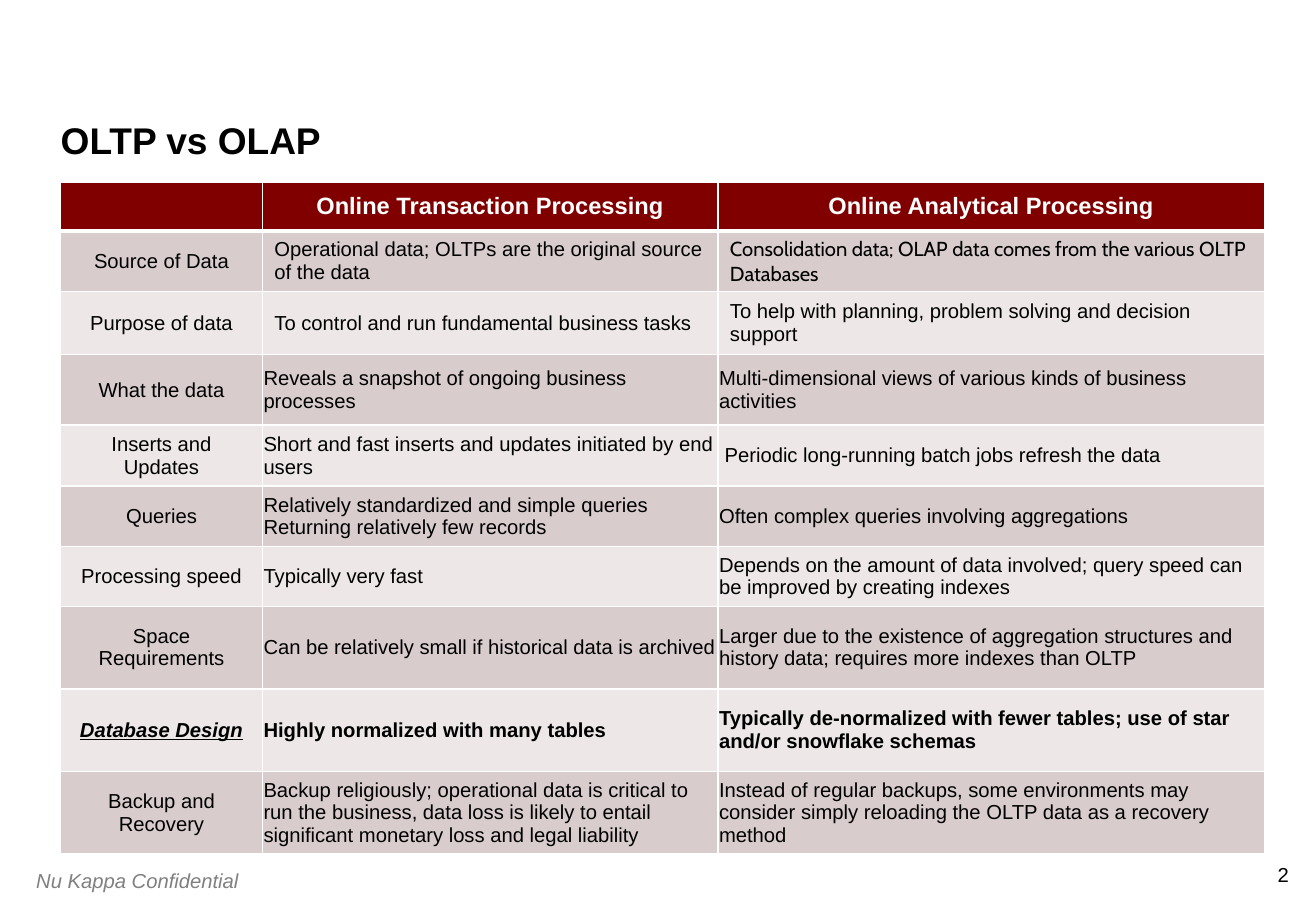
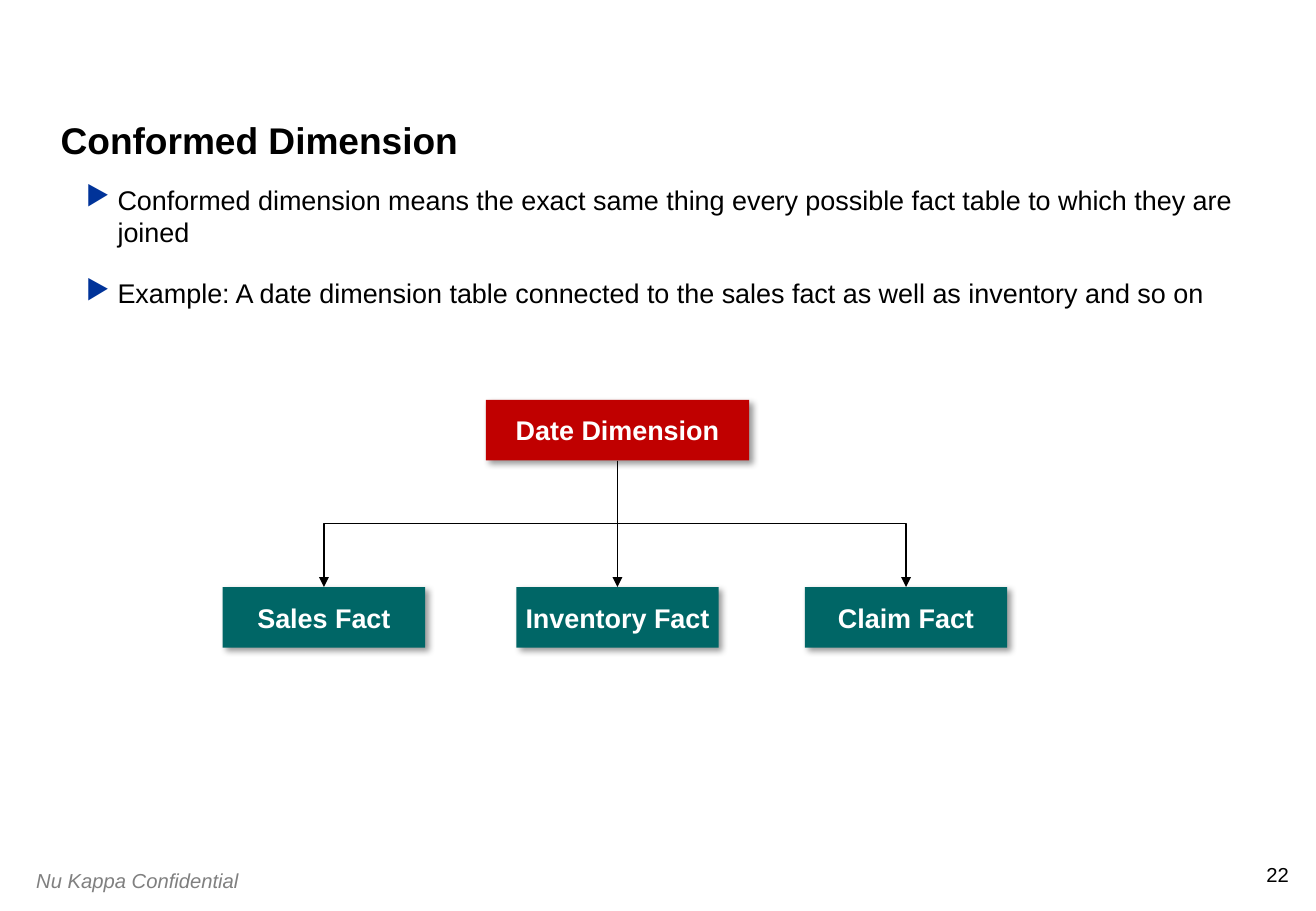
from dataclasses import dataclass

from lxml import etree
from pptx import Presentation
from pptx.dml.color import RGBColor
from pptx.enum.shapes import MSO_CONNECTOR, MSO_SHAPE
from pptx.enum.text import MSO_ANCHOR, PP_ALIGN
from pptx.oxml.ns import qn
from pptx.util import Pt

LEFT, MID, RIGHT = PP_ALIGN.LEFT, PP_ALIGN.CENTER, PP_ALIGN.RIGHT
TOP, CORE, BASE = MSO_ANCHOR.TOP, MSO_ANCHOR.MIDDLE, MSO_ANCHOR.BOTTOM
RECT = MSO_SHAPE.RECTANGLE
LINE, ELBOW = MSO_CONNECTOR.STRAIGHT, MSO_CONNECTOR.ELBOW


@dataclass(frozen=True)
class Theme:
    face: str = "Arial"
    black: str = "000000"
    white: str = "FFFFFF"
    grey: str = "808080"
    head: str = "800000"
    dark: str = "D8CCCC"
    pale: str = "EDE7E7"
    blue: str = "003399"
    teal: str = "006666"
    red: str = "C00000"
    small: int = 12
    label: int = 14
    body: int = 16
    title: int = 22


THEME = Theme()
FOOT = "Nu Kappa Confidential"
WIDTHS = (119.5, 270, 324)
HEIGHTS = (24, 35.3, 37.4, 41.8, 36, 36, 35.3, 49, 49, 49)
WIDE, TIGHT, NUDGE = 7.2, 0.72, 4
STRONG = "Database Design"
ROWS = (
    ("", "Online Transaction Processing", "Online Analytical Processing"),
    ("Source of Data",
     "Operational data; OLTPs are the original source of the data",
     "Consolidation data; OLAP data comes from the various OLTP Databases"),
    ("Purpose of data",
     "To control and run fundamental business tasks",
     "To help with planning, problem solving and decision support"),
    ("What the data",
     "Reveals a snapshot of ongoing business processes",
     "Multi-dimensional views of various kinds of business activities"),
    ("Inserts and Updates",
     "Short and fast inserts and updates initiated by end users",
     "Periodic long-running batch jobs refresh the data"),
    ("Queries",
     "Relatively standardized and simple queries Returning relatively few records",
     "Often complex queries involving aggregations"),
    ("Processing speed",
     "Typically very fast",
     "Depends on the amount of data involved; query speed can be improved by "
     "creating indexes"),
    ("Space Requirements",
     "Can be relatively small if historical data is archived",
     "Larger due to the existence of aggregation structures and history data; "
     "requires more indexes than OLTP"),
    (STRONG,
     "Highly normalized with many tables",
     "Typically de-normalized with fewer tables; use of star and/or snowflake "
     "schemas"),
    ("Backup and Recovery",
     "Backup religiously; operational data is critical to run the business, data "
     "loss is likely to entail significant monetary loss and legal liability",
     "Instead of regular backups, some environments may consider simply reloading "
     "the OLTP data as a recovery method"),
)
POINTS = (
    "Conformed dimension means the exact same thing every possible fact table to "
    "which they are joined",
    "Example: A date dimension table connected to the sales fact as well as "
    "inventory and so on",
)
FACTS = (("Sales Fact", 132), ("Inventory Fact", 306), ("Claim Fact", 477))


def assign(item, values):
    for name, value in values.items():
        setattr(item, name, value)


def node(parent, tag, **attrs):
    return etree.SubElement(parent, qn(tag), attrs)


class Deck:
    def __init__(self, theme):
        self.theme = theme
        self.prs = Presentation()
        assign(self.prs, {"slide_width": Pt(780), "slide_height": Pt(540)})
        self.slide = None

    def page(self, title, number):
        theme = self.theme
        self.slide = self.prs.slides.add_slide(self.prs.slide_layouts[6])
        self.text(number, (749, 511.2, 15, 14.4), align=RIGHT, wrap=False)
        self.text(FOOT, (14.4, 511.2, 144, 21.6), pad=(7.2, 3.6),
                  color=theme.grey, italic=True)
        box = self.text(title, (36, 30.2, 708, 66.2), anchor=BASE,
                        size=theme.title, bold=True)
        box.paragraphs[0].line_spacing = 0.9

    def words(self, par, text, color=None, size=None, align=LEFT, **style):
        par.alignment = align
        run = par.add_run()
        run.text = text
        assign(run.font, {"name": self.theme.face,
                          "size": Pt(size or self.theme.small), **style})
        run.font.color.rgb = RGBColor.from_string(color or self.theme.black)

    def frame(self, shape, pad, anchor, wrap):
        side, edge = map(Pt, pad)
        assign(shape.text_frame, {
            "margin_left": side, "margin_right": side, "margin_top": edge,
            "margin_bottom": edge, "vertical_anchor": anchor, "word_wrap": wrap})
        return shape.text_frame

    def text(self, text, area, pad=(0, 0), anchor=TOP, wrap=True, **style):
        box = self.slide.shapes.add_textbox(*map(Pt, area))
        frame = self.frame(box, pad, anchor, wrap)
        self.words(frame.paragraphs[0], text, **style)
        return frame

    def bullets(self, items, area):
        box = self.slide.shapes.add_textbox(*map(Pt, area))
        frame = self.frame(box, (0, 0), TOP, True)
        for index, item in enumerate(items):
            par = frame.add_paragraph() if index else frame.paragraphs[0]
            props = par._p.get_or_add_pPr()
            props.set("marL", str(Pt(18.7)))
            props.set("indent", str(-Pt(18.7)))
            node(node(props, "a:buClr"), "a:srgbClr", val=self.theme.blue)
            node(props, "a:buChar", char="▶")
            if index:
                par.space_before = Pt(17)
            self.words(par, item, size=self.theme.body)

    def box(self, text, area, fill):
        shape = self.slide.shapes.add_shape(RECT, *map(Pt, area))
        shape.shadow.inherit = False
        shape.fill.solid()
        shape.fill.fore_color.rgb = RGBColor.from_string(fill)
        shape.line.fill.background()
        glow = shape.element.spPr.find(qn("a:effectLst"))
        shade = node(glow, "a:outerShdw", blurRad=str(Pt(4)), dist=str(Pt(3)),
                     dir="2700000", algn="tl", rotWithShape="0")
        tint = node(shade, "a:srgbClr", val=self.theme.black)
        node(tint, "a:alpha", val="40000")
        frame = self.frame(shape, (3.6, 3.6), CORE, False)
        self.words(frame.paragraphs[0], text, color=self.theme.white,
                   size=self.theme.body, align=MID, bold=True)
        return shape

    def arrow(self, start, end):
        x1, x2 = (box.left + box.width // 2 for box in (start, end))
        y1, y2 = start.top + start.height, end.top
        kind = LINE if x1 == x2 else ELBOW
        link = self.slide.shapes.add_connector(kind, x1, y1, x2, y2)
        link.begin_connect(start, 2)
        link.end_connect(end, 0)
        props = link.element.spPr
        if kind == ELBOW:
            wide, tall = y2 - y1, abs(x2 - x1)
            assign(link, {"left": (x1 + x2 - wide) // 2,
                          "top": (y1 + y2 - tall) // 2,
                          "width": wide, "height": tall})
            right = x2 > x1
            form = props.find(qn("a:xfrm"))
            form.set("rot", "16200000" if right else "5400000")
            form.set("flipH", "1" if right else "0")
        link.line.width = Pt(0.75)
        link.line.color.rgb = RGBColor.from_string(self.theme.black)
        node(props.find(qn("a:ln")), "a:tailEnd", type="triangle")
        node(props, "a:effectLst")

    def cell(self, cell, text, fill, edges, pad, **style):
        props = cell._tc.get_or_add_tcPr()
        for side, width in edges.items():
            line = node(props, f"a:ln{side}", w=str(Pt(width)))
            node(node(line, "a:solidFill"), "a:srgbClr", val=self.theme.white)
        cell.fill.solid()
        cell.fill.fore_color.rgb = RGBColor.from_string(fill)
        left, side, edge = map(Pt, pad)
        assign(cell, {"margin_left": left, "margin_right": side,
                      "margin_top": edge, "margin_bottom": edge,
                      "vertical_anchor": CORE})
        if text:
            self.words(cell.text_frame.paragraphs[0], text, **style)

    def table(self, rows, widths, heights, spot):
        theme = self.theme
        area = (*spot, sum(widths), sum(heights))
        grid = self.slide.shapes.add_table(
            len(rows), len(widths), *map(Pt, area)).table
        for col, width in zip(grid.columns, widths):
            col.width = Pt(width)
        for r, (row, height) in enumerate(zip(rows, heights)):
            grid.rows[r].height = Pt(height)
            edges = {"L": 1, "R": 1, "T": 3 if r == 1 else 1,
                     "B": 1 if r else 3}
            fill = (theme.dark if r % 2 else theme.pale) if r else theme.head
            for c, text in enumerate(row):
                pad = (TIGHT,) * 3 if r > 2 and c else (WIDE, WIDE, 3.6)
                if text.startswith("Periodic"):
                    pad = (NUDGE, TIGHT, TIGHT)
                style = {"bold": r == 0 or row[0] == STRONG,
                         "align": LEFT if r and c else MID}
                if r == 0:
                    style.update(color=theme.white, size=theme.label)
                if text == STRONG:
                    style.update(italic=True, underline=True)
                if text.startswith("Consolidation"):
                    style["name"] = "Cabin"
                self.cell(grid.cell(r, c), text, fill, edges, pad, **style)


def main():
    deck = Deck(THEME)
    deck.page("OLTP vs OLAP", "2")
    deck.table(ROWS, WIDTHS, HEIGHTS, (36, 108))

    deck.page("Conformed Dimension", "22")
    deck.bullets(POINTS, (51, 108.7, 690, 89.3))
    facts = [deck.box(name, (left, 348, 120, 36), THEME.teal)
             for name, left in FACTS]
    date = deck.box("Date Dimension", (288, 237, 156, 36), THEME.red)
    for fact in facts:
        deck.arrow(date, fact)
    deck.prs.save("out.pptx")


if __name__ == "__main__":
    main()
